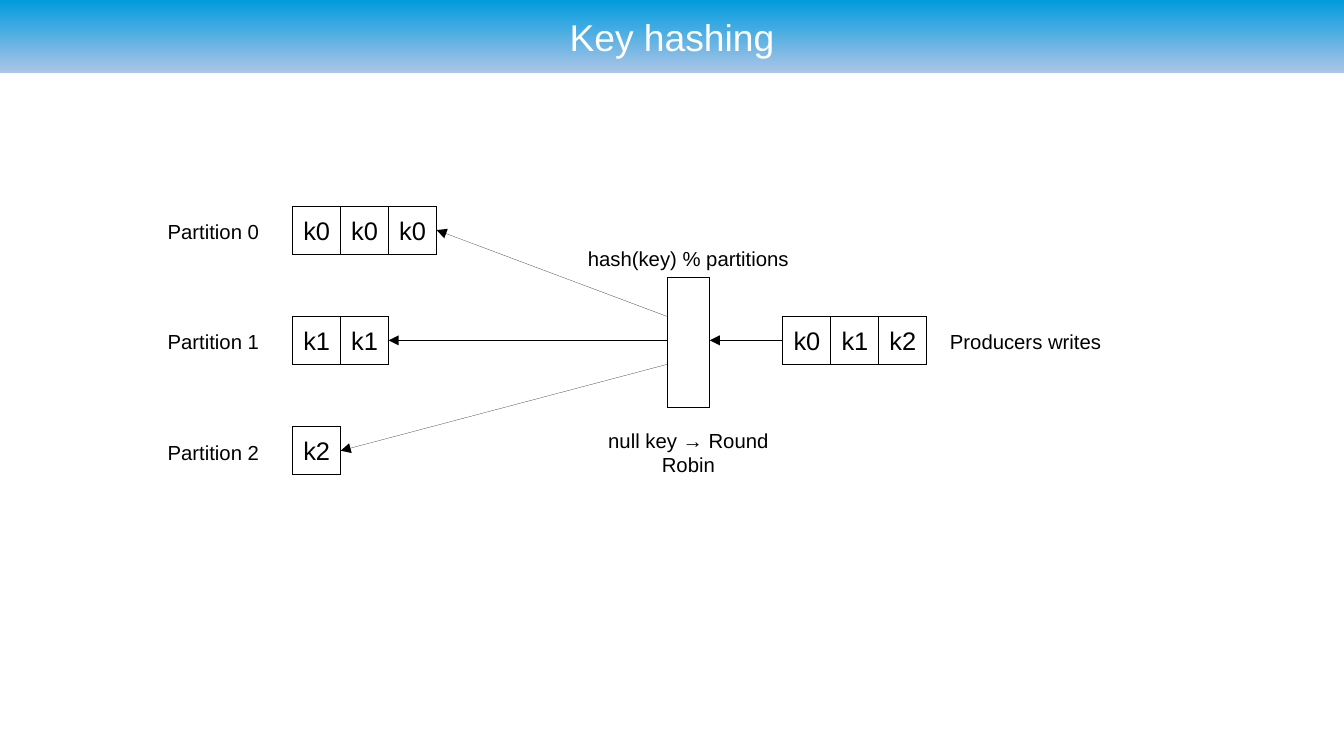
from lxml.etree import SubElement
from pptx import Presentation
from pptx.dml.color import RGBColor
from pptx.enum.shapes import MSO_CONNECTOR as Connector, MSO_SHAPE as Shape
from pptx.enum.text import MSO_ANCHOR as Anchor, PP_ALIGN as Align
from pptx.oxml.ns import qn
from pptx.util import Inches, Pt

WIDTH, HEIGHT = 11.02, 6.2
BLACK, WHITE = "000000", "FFFFFF"
CELL = 1.18 / 3
LABEL_HEIGHT = 0.3
PARTITIONS = [["k0", "k0", "k0"], ["k1", "k1"], ["k2"]]
LEFT_SITE, RIGHT_SITE = 1, 3


def color(hex_code):
    return RGBColor.from_string(hex_code)


def write(shape, text, size=12, ink=BLACK, wrap=False):
    """Put one centred line of text into a shape, without insets."""
    frame = shape.text_frame
    frame.word_wrap = wrap
    frame.vertical_anchor = Anchor.MIDDLE
    frame.margin_left = frame.margin_right = 0
    frame.margin_top = frame.margin_bottom = 0
    paragraph = frame.paragraphs[0]
    paragraph.alignment = Align.CENTER
    run = paragraph.add_run()
    run.text = text
    run.font.name = "Arial"
    run.font.size = Pt(size)
    run.font.color.rgb = color(ink)


def add_label(slide, text, left, top, width, height=LABEL_HEIGHT, size=12):
    label = slide.shapes.add_textbox(*map(Inches, (left, top, width, height)))
    write(label, text, size=size)


def set_hairline(shape):
    """Give a shape the thinnest black line; zero width must be stated in the XML."""
    shape.line.color.rgb = color(BLACK)
    outline = shape.line._get_or_add_ln()
    outline.set("w", "0")
    return outline


def add_box(slide, left, top, width, height):
    box = slide.shapes.add_shape(Shape.RECTANGLE, *map(Inches, (left, top, width, height)))
    box.shadow.inherit = False
    box.fill.background()
    set_hairline(box)
    return box


def add_line(slide, start, end, arrow=False):
    line = slide.shapes.add_connector(Connector.STRAIGHT, *map(Inches, start + end))
    outline = set_hairline(line)
    if arrow:
        SubElement(outline, qn("a:tailEnd"), type="triangle")
    SubElement(line._element.spPr, qn("a:effectLst"))
    return line


def add_keys(slide, keys, left, top):
    """Draw a row of keys with dividers and return its frame."""
    for column, key in enumerate(keys):
        cell_left = left + column * CELL
        if column:
            add_line(slide, (cell_left, top), (cell_left, top + CELL))
        add_label(slide, key, cell_left, top, CELL, height=CELL, size=15)
    return add_box(slide, left, top, len(keys) * CELL, CELL)


def add_header(slide, text, height):
    band = add_box(slide, 0, 0, WIDTH, height)
    band.line.fill.background()
    band.fill.gradient()
    band.fill.gradient_angle = 270
    for stop, shade in zip(band.fill.gradient_stops, ("009BDD", "ADC5E7")):
        stop.color.rgb = color(shade)
    slide.shapes._spTree.insert(2, band._element)  # behind the title

    title = slide.shapes.title
    title.left, title.top = Inches(0.55), Inches(0.04)
    title.width, title.height = Inches(WIDTH - 2 * 0.55), Inches(height - 2 * 0.04)
    write(title, text, size=22, ink=WHITE, wrap=True)


def add_hashing(slide, left, top):
    """Draw the flow from the producers through the hash to the partitions."""
    pitch = 1.81 / 2
    label_drop = (CELL - LABEL_HEIGHT) / 2 + 0.01
    cells_left = left + 1.1
    hash_left, hash_width = left + 4.17, 0.35
    queue_left = left + 5.12
    queue_top = top + pitch
    middle = queue_top + CELL / 2
    caption_left, caption_width = left + 3.46, 1.77

    add_label(slide, "hash(key) % partitions", caption_left, top + 0.28, caption_width)
    add_box(slide, hash_left, top + 0.59, hash_width, 1.06)
    add_label(slide, "null key → Round Robin", caption_left, top + 1.87, caption_width)

    for row, keys in enumerate(PARTITIONS):
        row_top = top + row * pitch
        add_label(slide, f"Partition {row}", left, row_top + label_drop, 0.9)
        partition = add_keys(slide, keys, cells_left, row_top)
        start = (hash_left, middle + (row - 1) * CELL / 2)
        end = (cells_left + len(keys) * CELL, row_top + CELL / 2)
        add_line(slide, start, end, arrow=True).end_connect(partition, RIGHT_SITE)

    queue = add_keys(slide, ["k0", "k1", "k2"], queue_left, queue_top)
    hash_entry = (hash_left + hash_width, middle)
    produced = add_line(slide, (queue_left, middle), hash_entry, arrow=True)
    produced.begin_connect(queue, LEFT_SITE)
    add_label(slide, "Producers writes", left + 6.46, queue_top + label_drop, 1.3)


def main():
    deck = Presentation()
    deck.slide_width, deck.slide_height = Inches(WIDTH), Inches(HEIGHT)
    slide = deck.slides.add_slide(deck.slide_layouts[5])
    add_header(slide, "Key hashing", 0.6)
    add_hashing(slide, 1.3, 1.69)
    deck.save("out.pptx")


if __name__ == "__main__":
    main()
